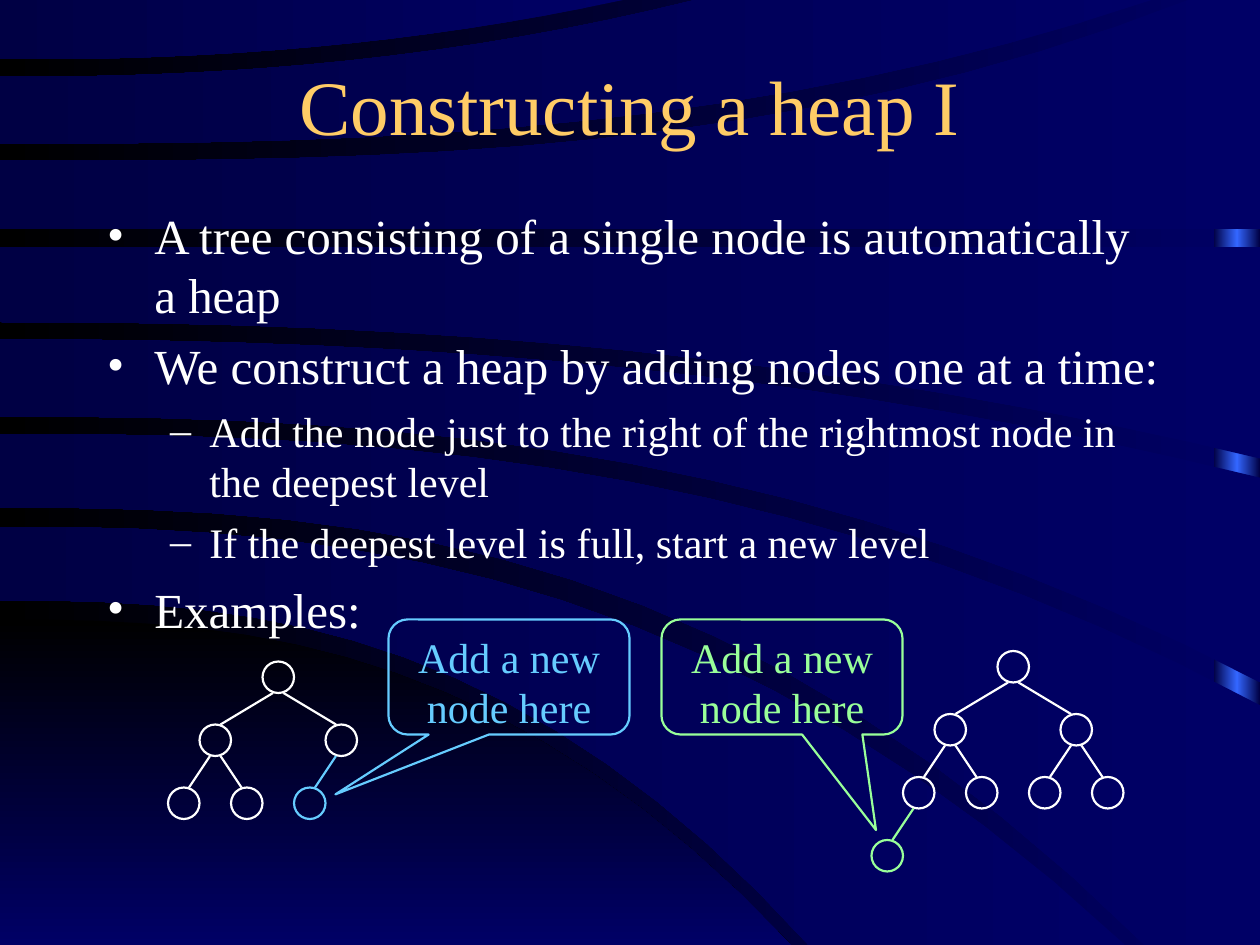
from copy import deepcopy
from dataclasses import dataclass

from lxml import etree
from pptx import Presentation
from pptx.dml.color import RGBColor
from pptx.enum import shapes, text
from pptx.oxml import ns
from pptx.util import Pt

COLOURS = {
    "night": "000000", "deep": "000044", "navy": "000066", "glow": "3366FF",
    "gold": "FFCC66", "white": "FFFFFF", "sky": "66CCFF", "mint": "99FF99",
}
FONT = "Times New Roman"
WIDTH, HEIGHT = 720, 540
RAIL_LEFT = 693.5
CURVE_STEPS = 16
NODE = 18            # node diameter
LEVEL_STEP = 36      # distance between tree levels
SPREADS = (0, 36, 18, 18)   # sideways offset from the parent, by depth
LINK_SHIFT = 3       # links start and end this far off the node centre


@dataclass
class Edge:
    """A curve from the left border that bends like a power of x."""
    start: float
    end: float
    run: float = WIDTH
    power: float = 2.5

    def points(self) -> list[tuple[float, float]]:
        shares = [i / CURVE_STEPS for i in range(CURVE_STEPS + 1)]
        return [(self.run * share, self.start + (self.end - self.start) * share ** self.power)
                for share in shares]


@dataclass
class Band:
    upper: Edge
    lower: Edge
    corners: tuple = ()
    colours: tuple[str, ...] = ("navy", "deep")
    angle: int = 180


@dataclass
class Bullet:
    wording: str
    level: int = 0


@dataclass
class LevelStyle:
    size: float
    before: float
    margin: float
    hanging: float
    mark: str


@dataclass
class Example:
    root: tuple[float, float]
    size: int            # nodes already in the heap
    accent: str
    callout_left: float
    pointer: tuple[float, float]


BANDS = [
    Band(Edge(354, HEIGHT, 452, 2.6), Edge(HEIGHT, HEIGHT, 452),
         colours=("night", "navy"), angle=270),
    Band(Edge(301, HEIGHT, 643), Edge(343, HEIGHT, 462, 2.6)),
    Band(Edge(248, 403), Edge(290, HEIGHT, 654, 2.6), ((WIDTH, HEIGHT),)),
    Band(Edge(194, 273, power=2.25), Edge(238, 390)),
    Band(Edge(141, 141), Edge(184, 262, power=2.25)),
    Band(Edge(92, 0, 679, 2.9), Edge(131, 131), ((WIDTH, 0),)),
    Band(Edge(44, 0, 397, 2.25), Edge(82, 0, 658, 2.7)),
    Band(Edge(0, 0, 356), Edge(34, 0, 356, 2.25)),
]

LEVELS = (LevelStyle(28, 7, 27, 27, "•"), LevelStyle(24, 6, 58.5, 22.5, "–"))

BULLETS = [
    Bullet("A tree consisting of a single node is automatically a heap"),
    Bullet("We construct a heap by adding nodes one at a time:"),
    Bullet("Add the node just to the right of the rightmost node in the deepest level", 1),
    Bullet("If the deepest level is full, start a new level", 1),
    Bullet("Examples:"),
]

EXAMPLES = [
    Example((570, 372), 7, "mint", 378, (0.39, 1.33)),
    Example((150, 378), 5, "sky", 222, (-0.72, 1.02)),
]


def rgb(colour: str) -> RGBColor:
    return RGBColor.from_string(COLOURS[colour])


def apply_gradient(fill, colours: tuple[str, ...], angle: int) -> None:
    fill.gradient()
    fill.gradient_angle = angle
    first = fill.gradient_stops[0]._gs
    for _ in colours[2:]:
        first.addnext(deepcopy(first))
    for i, (stop, colour) in enumerate(zip(fill.gradient_stops, colours)):
        stop.position = i / (len(colours) - 1)
        stop.color.rgb = rgb(colour)


def format_runs(paragraph, size: float, colour: str) -> None:
    for run in paragraph.runs:
        run.font.name, run.font.size = FONT, Pt(size)
        run.font.color.rgb = rgb(colour)


def place(holder, left: float, top: float, width: float, height: float) -> None:
    holder.left, holder.top = Pt(left), Pt(top)
    holder.width, holder.height = Pt(width), Pt(height)
    holder.text_frame.auto_size = text.MSO_AUTO_SIZE.NONE


def draw_backdrop(slide) -> None:
    apply_gradient(slide.background.fill, ("navy", "night"), 180)
    rail = slide.shapes.add_shape(shapes.MSO_SHAPE.RECTANGLE, Pt(RAIL_LEFT), 0,
                                  Pt(WIDTH - RAIL_LEFT), Pt(HEIGHT))
    surfaces = [(rail, ("deep", "glow", "deep"), 180)]
    for band in BANDS:
        outline = [*band.upper.points(), *band.corners, *reversed(band.lower.points())]
        first, *others = [(Pt(x), Pt(y)) for x, y in outline]
        builder = slide.shapes.build_freeform(*first)
        builder.add_line_segments(others, close=True)
        surfaces.append((builder.convert_to_shape(), band.colours, band.angle))
    for surface, colours, angle in surfaces:
        surface.shadow.inherit = False
        surface.line.fill.background()
        apply_gradient(surface.fill, colours, angle)


def write_bullets(frame, bullets: list[Bullet]) -> None:
    frame.text = "\n".join(bullet.wording for bullet in bullets)
    for paragraph, bullet in zip(frame.paragraphs, bullets):
        style = LEVELS[bullet.level]
        paragraph.level = bullet.level
        paragraph.space_before = Pt(style.before)
        format_runs(paragraph, style.size, "white")
        props = paragraph._p.get_or_add_pPr()
        props.set("marL", str(Pt(style.margin)))
        props.set("indent", str(-Pt(style.hanging)))
        tint = etree.SubElement(props, ns.qn("a:buClr"))
        etree.SubElement(tint, ns.qn("a:srgbClr"), val=COLOURS["white"])
        etree.SubElement(props, ns.qn("a:buFont"), typeface=FONT)
        etree.SubElement(props, ns.qn("a:buChar"), char=style.mark)


def draw_outline(slide, kind, left: float, top: float, width: float, height: float, colour: str):
    shape = slide.shapes.add_shape(kind, Pt(left), Pt(top), Pt(width), Pt(height))
    shape.shadow.inherit = False
    shape.fill.background()
    shape.line.color.rgb, shape.line.width = rgb(colour), Pt(1.25)
    return shape


def draw_link(slide, parent: tuple, child: tuple, side: int, colour: str) -> None:
    middle = NODE / 2
    link = slide.shapes.add_connector(
        shapes.MSO_CONNECTOR.STRAIGHT,
        Pt(child[0] + middle - side * LINK_SHIFT), Pt(child[1]),
        Pt(parent[0] + middle + side * LINK_SHIFT), Pt(parent[1] + NODE))
    link.line.color.rgb, link.line.width = rgb(colour), Pt(1.25)
    etree.SubElement(link._element.spPr, ns.qn("a:effectLst"))


def draw_tree(slide, example: Example) -> None:
    """Number nodes level by level: node i has children 2i and 2i + 1."""
    nodes = {1: example.root}
    for i in range(1, example.size + 2):
        colour = "white" if i <= example.size else example.accent
        if i > 1:
            parent, side = nodes[i // 2], 1 if i % 2 else -1
            spread = SPREADS[i.bit_length() - 1]
            nodes[i] = (parent[0] + side * spread, parent[1] + LEVEL_STEP)
            draw_link(slide, parent, nodes[i], side, colour)
        draw_outline(slide, shapes.MSO_SHAPE.OVAL, *nodes[i], NODE, NODE, colour)


def draw_callout(slide, example: Example) -> None:
    callout = draw_outline(slide, shapes.MSO_SHAPE.ROUNDED_RECTANGULAR_CALLOUT,
                           example.callout_left, 354, 137.75, 65.75, example.accent)
    callout.adjustments[0], callout.adjustments[1] = example.pointer
    frame = callout.text_frame
    frame.text = "Add a new node here"
    frame.word_wrap = True
    frame.vertical_anchor = text.MSO_ANCHOR.TOP
    frame.paragraphs[0].alignment = text.PP_ALIGN.CENTER
    format_runs(frame.paragraphs[0], 24, example.accent)


def main() -> None:
    deck = Presentation()
    deck.slide_width, deck.slide_height = Pt(WIDTH), Pt(HEIGHT)
    slide = deck.slides.add_slide(deck.slide_layouts[1])
    draw_backdrop(slide)

    # Title and list, brought in front of the backdrop
    title, body = slide.placeholders
    for holder in (title, body):
        slide.shapes._spTree.append(holder._element)
    place(title, 24, 30, 672, 60)
    title.text_frame.text = "Constructing a heap I"
    title.text_frame.vertical_anchor = text.MSO_ANCHOR.MIDDLE
    title.text_frame.paragraphs[0].alignment = text.PP_ALIGN.CENTER
    format_runs(title.text_frame.paragraphs[0], 44, "gold")
    place(body, 54, 114, 618, 276)
    write_bullets(body.text_frame, BULLETS)

    # Example heaps, each with its new node
    for example in EXAMPLES:
        draw_tree(slide, example)
        draw_callout(slide, example)
    deck.save("out.pptx")


if __name__ == "__main__":
    main()
